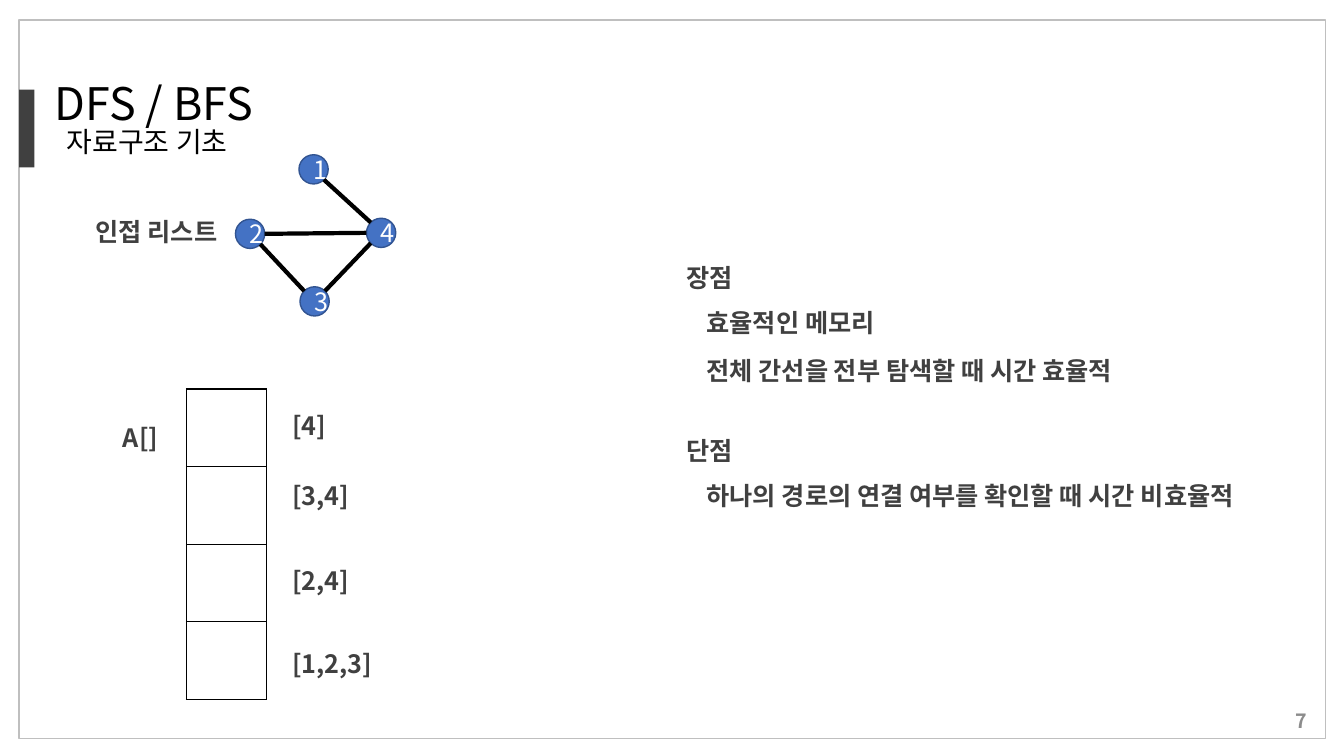
from math import hypot

from lxml import etree
from pptx import Presentation
from pptx.dml.color import RGBColor
from pptx.enum.shapes import MSO_CONNECTOR, MSO_SHAPE
from pptx.enum.text import MSO_ANCHOR, MSO_AUTO_SIZE, PP_ALIGN
from pptx.oxml.ns import qn
from pptx.util import Inches, Pt

RECT, OVAL = MSO_SHAPE.RECTANGLE, MSO_SHAPE.OVAL
STRAIGHT = MSO_CONNECTOR.STRAIGHT
TOP, MIDDLE = MSO_ANCHOR.TOP, MSO_ANCHOR.MIDDLE
LEFT, CENTER, RIGHT = PP_ALIGN.LEFT, PP_ALIGN.CENTER, PP_ALIGN.RIGHT
NO_FIT = MSO_AUTO_SIZE.NONE

FONT = "Noto Sans CJK KR"
BLACK = RGBColor(0x00, 0x00, 0x00)
WHITE = RGBColor(0xFF, 0xFF, 0xFF)
DARK = RGBColor(0x40, 0x40, 0x40)
GRAY = RGBColor(0x8C, 0x8C, 0x8C)
FRAME = RGBColor(0xBF, 0xBF, 0xBF)
BLUE = RGBColor(0x44, 0x72, 0xC4)
NAVY = RGBColor(0x32, 0x54, 0x91)

WIDTH, HEIGHT = 13.33, 7.5
TITLE, SUBTITLE = "DFS / BFS", "자료구조 기초"
PAGE = "7"
LINE_H = 0.4

DIAMETER = 0.29
NODES = {"1": (3.11, 1.68), "3": (3.12, 2.99), "2": (2.48, 2.32), "4": (3.78, 2.31)}
EDGES = [
    ("1", (1, 1), "4", (-1, -1)),
    ("3", (-1, -1), "2", (1, 1)),
    ("3", (1, -1), "4", (-1, 1)),
    ("4", (-1, 0), "2", (1, 0)),
]

ARRAY_LEFT, ARRAY_TOP, CELL_W, CELL_H = 1.85, 3.86, 0.79, 0.77
LIST_LEFT = 2.8
LISTS = [("[4]", 4.02), ("[3,4]", 4.72), ("[2,4]", 5.56), ("[1,2,3]", 6.38)]

NOTE_LEFT, NOTE_INDENT, NOTE_W = 6.71, 0.2, 5.66
HEAD_STEP, ITEM_STEP = 0.45, 0.48
NOTES = [
    ("장점", 2.55, ["효율적인 메모리", "전체 간선을 전부 탐색할 때 시간 효율적"]),
    ("단점", 4.27, ["하나의 경로의 연결 여부를 확인할 때 시간 비효율적"]),
]

prs = Presentation()
prs.slide_width, prs.slide_height = Inches(WIDTH), Inches(HEIGHT)
s = prs.slides.add_slide(prs.slide_layouts[5])


def box(x, y, w, h):
    return [Inches(v) for v in (x, y, w, h)]


def style(p, size, color, bold=False, align=LEFT):
    p.alignment = align
    for r in p.runs:
        r.font.size, r.font.bold, r.font.name = Pt(size), bold, FONT
        r.font.color.rgb = color
        etree.SubElement(r._r.get_or_add_rPr(), qn("a:ea"), typeface=FONT)


def label(text, x, y, w, size=18, color=DARK, align=LEFT, anchor=TOP):
    tf = s.shapes.add_textbox(*box(x, y, w, LINE_H)).text_frame
    tf.word_wrap, tf.vertical_anchor = True, anchor
    tf.text = text
    style(tf.paragraphs[0], size, color, True, align)


def shape(kind, x, y, w, h, fill=None, line=None):
    sp = s.shapes.add_shape(kind, *box(x, y, w, h))
    sp.shadow.inherit = False
    if fill is None:
        sp.fill.background()
    else:
        sp.fill.solid()
        sp.fill.fore_color.rgb = fill
    if line is None:
        sp.line.fill.background()
    else:
        sp.line.color.rgb, sp.line.width = line, Pt(1)
    return sp


def rim(node, direction):
    scale = DIAMETER / 2 / hypot(*direction)
    return [Inches(c + d * scale) for c, d in zip(NODES[node], direction)]


def add_title():
    sp = s.shapes.title
    sp.left, sp.top, sp.width, sp.height = box(0.44, 0.78, 7.75, 0.98)
    tf = sp.text_frame
    tf.auto_size, tf.vertical_anchor, tf.word_wrap = NO_FIT, TOP, True
    tf.text = f"{TITLE}\n{SUBTITLE}"
    for p, size in zip(tf.paragraphs, (32, 20)):
        style(p, size, BLACK)
        p.line_spacing, p.space_before = 0.85, Pt(0)
    tf.paragraphs[1]._p.get_or_add_pPr().set("marL", str(Inches(0.12)))


def add_graph():
    for name, (cx, cy) in NODES.items():
        r = DIAMETER / 2
        sp = shape(OVAL, cx - r, cy - r, DIAMETER, DIAMETER, BLUE, NAVY)
        tf = sp.text_frame
        tf.text, tf.vertical_anchor = name, MIDDLE
        style(tf.paragraphs[0], 18, WHITE, align=CENTER)
    for start, out, end, into in EDGES:
        edge = s.shapes.add_connector(STRAIGHT, *rim(start, out), *rim(end, into))
        edge.line.color.rgb, edge.line.width = BLACK, Pt(3)
        etree.SubElement(edge._element.spPr, qn("a:effectLst"))


def add_array():
    rows = len(LISTS)
    frame = s.shapes.add_table(rows, 1, *box(ARRAY_LEFT, ARRAY_TOP, CELL_W, CELL_H * rows))
    table = frame.table
    table.first_row = table.horz_banding = False
    for cell in table.iter_cells():
        tcPr = cell._tc.get_or_add_tcPr()
        for side in ("lnL", "lnR", "lnT", "lnB"):
            ln = etree.SubElement(tcPr, qn(f"a:{side}"), w=str(Pt(1)))
            fill = etree.SubElement(ln, qn("a:solidFill"))
            etree.SubElement(fill, qn("a:srgbClr"), val=str(BLACK))
        cell.fill.background()


shape(RECT, 0.19, 0.2, 12.96, 7.13, line=FRAME)
shape(RECT, 0.19, 0.89, 0.15, 0.77, fill=DARK)
label(PAGE, 10.06, 6.95, 3, 14, GRAY, RIGHT, MIDDLE)
add_title()
label("인접 리스트", 0.85, 2.1, 5.12)
add_graph()
label("A[]", 1.12, 4.14, 0.78)
add_array()
for text, y in LISTS:
    label(text, LIST_LEFT, y, 1.13)
for head, y, items in NOTES:
    label(head, NOTE_LEFT, y, 0.78)
    for i, item in enumerate(items):
        label(item, NOTE_LEFT + NOTE_INDENT, y + HEAD_STEP + i * ITEM_STEP, NOTE_W)

prs.save("out.pptx")
